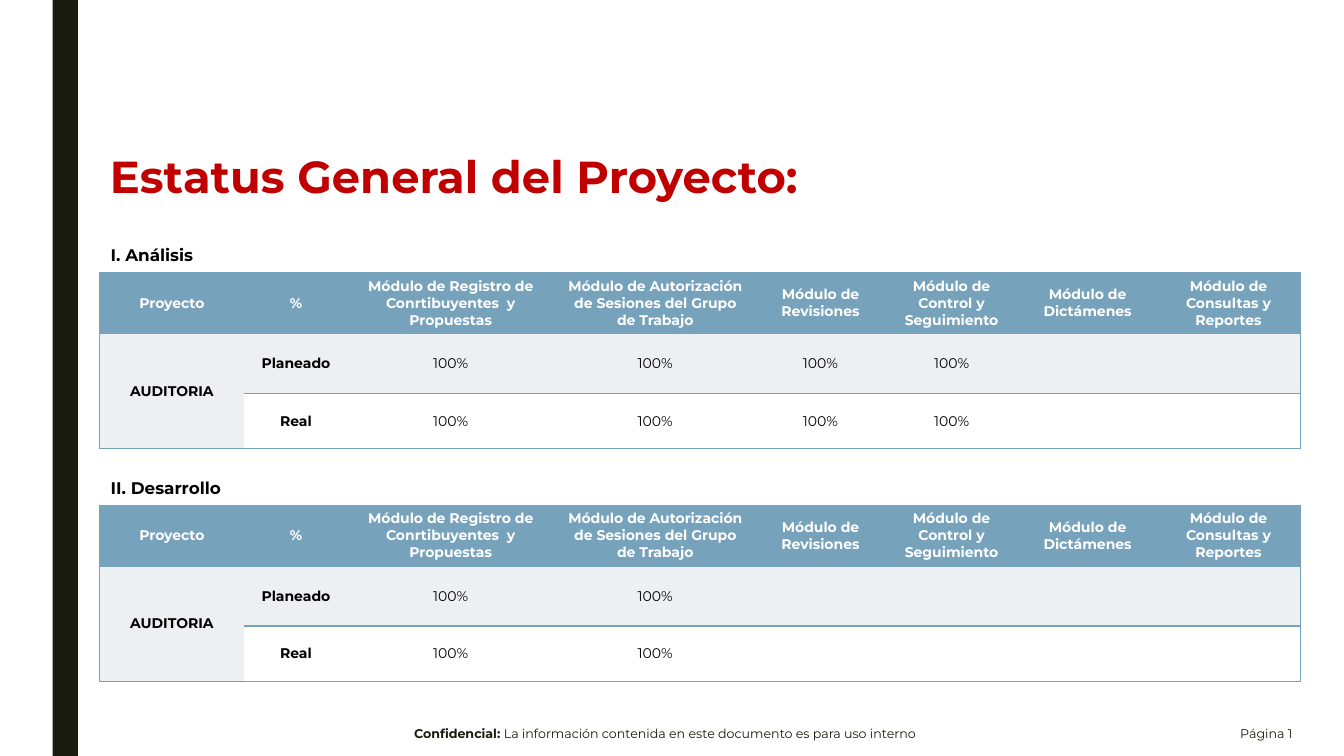
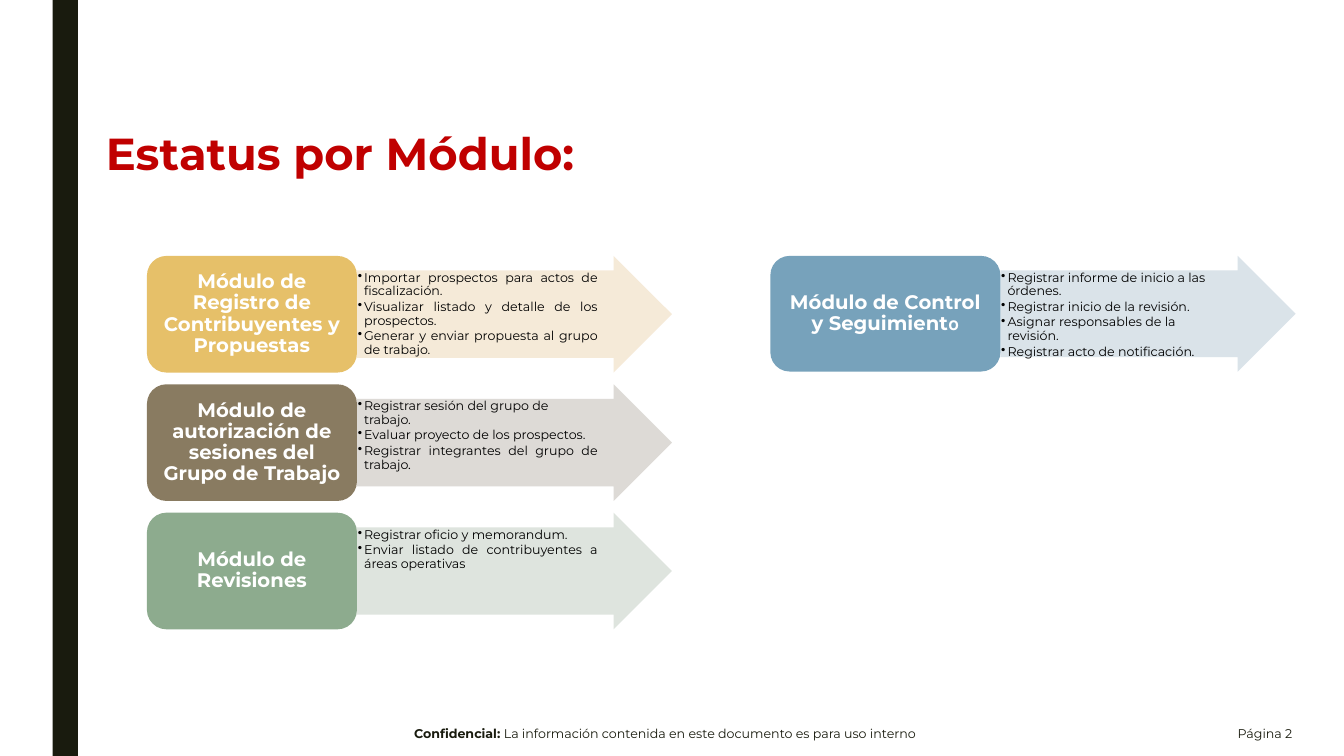
from lxml.etree import SubElement
from pptx import Presentation
from pptx.dml.color import RGBColor
from pptx.enum.shapes import MSO_SHAPE as Preset
from pptx.enum.text import MSO_ANCHOR as Anchor, PP_ALIGN as Align
from pptx.oxml import parse_xml
from pptx.oxml.ns import nsdecls, qn
from pptx.util import Pt

RED, DARK, BLUE, PALE = "C00000", "191B0E", "77A2BB", "ECF0F3"
BLACK, WHITE = "000000", "FFFFFF"

HEADERS = ["Proyecto", "%", "Módulo de Registro de Conrtibuyentes  y Propuestas",
           "Módulo de Autorización de Sesiones del Grupo de Trabajo",
           "Módulo de Revisiones", "Módulo de Control y Seguimiento",
           "Módulo de Dictámenes", "Módulo de Consultas y Reportes"]
COLUMN_WIDTHS = [103, 74.2, 146.9, 145.4, 90.7, 96.5, 97.9, 103.4]
ROW_HEIGHTS = [43.8, 42.6, 39.6]
ROW_FILLS = [BLUE, PALE, WHITE]


def rgb(value):
    return RGBColor.from_string(value)


class Report:
    """Holds the shared style and the current page."""
    font, accent_font = "Montserrat", "Karla"

    def __init__(self):
        self.deck = Presentation()
        self.deck.slide_width, self.deck.slide_height = Pt(960), Pt(540)
        self.page = None

    def start_page(self, title, left, top):
        self.page = self.deck.slides.add_slide(self.deck.slide_layouts[5])
        self.shape(Preset.RECTANGLE, 37.6, 0, 18, 540, DARK)
        # Title
        box = self.page.shapes.title
        box.left, box.top, box.width, box.height = Pt(left), Pt(top), Pt(509), Pt(42.5)
        box.text_frame.vertical_anchor = Anchor.TOP
        para = box.text_frame.paragraphs[0]
        para.alignment, para.line_spacing = Align.JUSTIFY, 0.9
        self.span(para, title, 32, RED, True)
        # Footer
        para = self.text(227.5, 508.3, 494.6, 31.7, Align.CENTER, Anchor.MIDDLE)
        self.span(para, "Confidencial: ", 9, DARK, True)
        self.span(para, "La información contenida en este documento es para uso interno", 9, DARK)
        para = self.text(804.2, 508.3, 126, 31.7, Align.RIGHT, Anchor.MIDDLE)
        self.span(para, f"Página {len(self.deck.slides)}", 9, DARK)

    def span(self, para, text, size, color, bold=False, font=None):
        span = para.add_run()
        span.text = text
        span.font.name, span.font.size = font or self.font, Pt(size)
        span.font.bold, span.font.color.rgb = bold, rgb(color)

    def spans(self, para, texts, size, color, bold=False):
        """The first text is in the main font, a second one in the accent font."""
        for text, font in zip(texts, (self.font, self.accent_font)):
            self.span(para, text, size, color, bold, font)

    def text(self, left, top, width, height, align=Align.LEFT, anchor=Anchor.TOP):
        frame = self.page.shapes.add_textbox(Pt(left), Pt(top), Pt(width), Pt(height)).text_frame
        frame.word_wrap, frame.vertical_anchor = True, anchor
        frame.paragraphs[0].alignment = align
        return frame.paragraphs[0]

    def shape(self, preset, left, top, width, height, fill, insets=(0, 0, 0, 0)):
        shape = self.page.shapes.add_shape(preset, Pt(left), Pt(top), Pt(width), Pt(height))
        shape.shadow.inherit = False
        shape.fill.solid()
        shape.fill.fore_color.rgb = rgb(fill)
        shape.line.fill.background()
        frame = shape.text_frame
        frame.word_wrap = True
        (frame.margin_left, frame.margin_top,
         frame.margin_right, frame.margin_bottom) = map(Pt, insets)
        return shape

    def borders(self, cell, sides):
        """Draw the given sides of a cell and clear the others."""
        props = cell._tc.get_or_add_tcPr()
        for index, side in enumerate("LRTB"):
            paint = (f'<a:solidFill><a:srgbClr val="{BLUE}"/></a:solidFill>'
                     if side in sides else "<a:noFill/>")
            props.insert(index, parse_xml(
                f'<a:ln{side} {nsdecls("a")} w="{Pt(1)}">{paint}</a:ln{side}>'))

    def status_table(self, heading, top, completed):
        """completed: how many modules show 100%."""
        self.span(self.text(72, top - 23, 254, 21.6), heading, 12, BLACK, True)
        values = ["100%"] * completed + [""] * (len(HEADERS) - 2 - completed)
        rows = [HEADERS, ["AUDITORIA", "Planeado"] + values, ["", "Real"] + values]
        table = self.page.shapes.add_table(
            len(rows), len(HEADERS), Pt(71.3), Pt(top),
            Pt(sum(COLUMN_WIDTHS)), Pt(sum(ROW_HEIGHTS))).table
        table.horz_banding = False
        for column, width in zip(table.columns, COLUMN_WIDTHS):
            column.width = Pt(width)
        for r, texts in enumerate(rows):
            table.rows[r].height = Pt(ROW_HEIGHTS[r])
            for c, text in enumerate(texts):
                cell = table.cell(r, c)
                cell.fill.solid()
                cell.fill.fore_color.rgb = rgb(ROW_FILLS[r])
                cell.vertical_anchor = Anchor.MIDDLE
                sides = "TB" + ("L" if c == 0 else "") + ("R" if c == len(texts) - 1 else "")
                self.borders(cell, sides)
                if text:
                    para = cell.text_frame.paragraphs[0]
                    para.alignment = Align.CENTER
                    self.span(para, text, 10, WHITE if r == 0 else BLACK, r == 0 or c < 2)
        table.cell(1, 0).merge(table.cell(2, 0))

    def bullet(self, para, align):
        para.alignment, para.line_spacing, para.space_after = align, 0.9, Pt(1.4)
        props = para._p.get_or_add_pPr()
        props.set("marL", str(Pt(4.5)))
        props.set("indent", str(-Pt(4.5)))
        SubElement(props, qn("a:buChar")).set("char", "•")

    def module(self, left, top, box_width, arrow_width, height, colors, name, items):
        """A name box followed by an arrow with its bulleted activities."""
        fill, tint = colors
        # Arrow
        arrow = self.shape(Preset.RIGHT_ARROW, left + box_width, top, arrow_width, height,
                           tint, (0.6, 0.6, 22, 0.6))
        arrow.adjustments[0], arrow.adjustments[1] = 0.75, 0.5
        color = arrow.fill._xPr.find(".//" + qn("a:srgbClr"))
        SubElement(color, qn("a:alpha")).set("val", "90000")
        frame = arrow.text_frame
        frame.vertical_anchor = Anchor.TOP
        for index, (align, *texts) in enumerate(items):
            para = frame.add_paragraph() if index else frame.paragraphs[0]
            self.bullet(para, align)
            self.spans(para, texts, 9, BLACK)
        # Name box
        box = self.shape(Preset.ROUNDED_RECTANGLE, left, top, box_width, height,
                         fill, (4.2, 2, 4.2, 2))
        box.text_frame.vertical_anchor = Anchor.MIDDLE
        para = box.text_frame.paragraphs[0]
        para.alignment, para.line_spacing = Align.CENTER, 0.9
        self.spans(para, name, 14, WHITE, True)


def main():
    report = Report()

    # General status
    report.start_page("Estatus General del Proyecto:", 71.3, 106.6)
    report.status_table("I. Análisis", 194.6, 4)
    report.status_table("II. Desarrollo", 360.8, 2)

    # Status by module
    report.start_page("Estatus por Módulo:", 68.4, 90.7)
    even, plain = Align.JUSTIFY, Align.LEFT
    module_rows = [
        (("E6C069", "F5E8D4"), ["Módulo de Registro de Contribuyentes y Propuestas"],
         [(even, "Importar prospectos para actos de fiscalización."),
          (even, "Visualizar listado y detalle de los prospectos."),
          (even, "Generar y enviar propuesta al grupo de trabajo.")]),
        (("897B61", "DAD7D2"), ["Módulo de autorización de sesiones del Grupo de Trabajo"],
         [(plain, "Registrar sesión del grupo de trabajo."),
          (plain, "Evaluar proyecto de los prospectos."),
          (even, "Registrar integrantes del grupo de trabajo", ".")]),
        (("8DAB8E", "DBE2DB"), ["Módulo de Revisiones"],
         [(plain, "Registrar oficio y memorandum."),
          (even, "Enviar listado de contribuyentes a áreas operativas")]),
    ]
    for index, (colors, name, items) in enumerate(module_rows):
        report.module(105, 182.8 + index * 91.7, 150, 225, 83.3, colors, name, items)
    report.module(550.3, 182.8, 164.3, 210.8, 82.6, (BLUE, "D6E0E7"),
                  ["Módulo de Control y Seguimient", "o"],
                  [(plain, "Registrar informe de inicio a las órdenes."),
                   (plain, "Registrar inicio de la revisión."),
                   (plain, "Asignar responsables de la revisión."),
                   (plain, "Registrar acto de notificación", ".")])

    report.deck.save("out.pptx")


if __name__ == "__main__":
    main()
